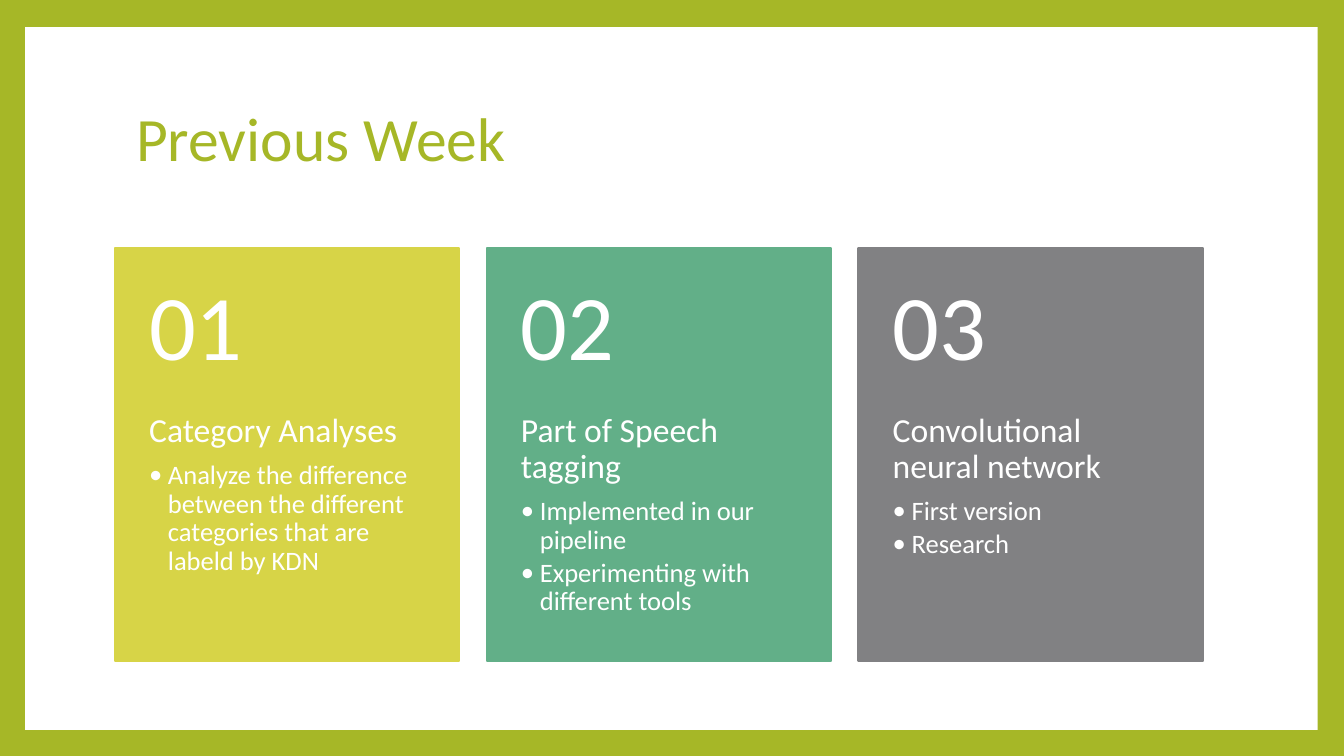
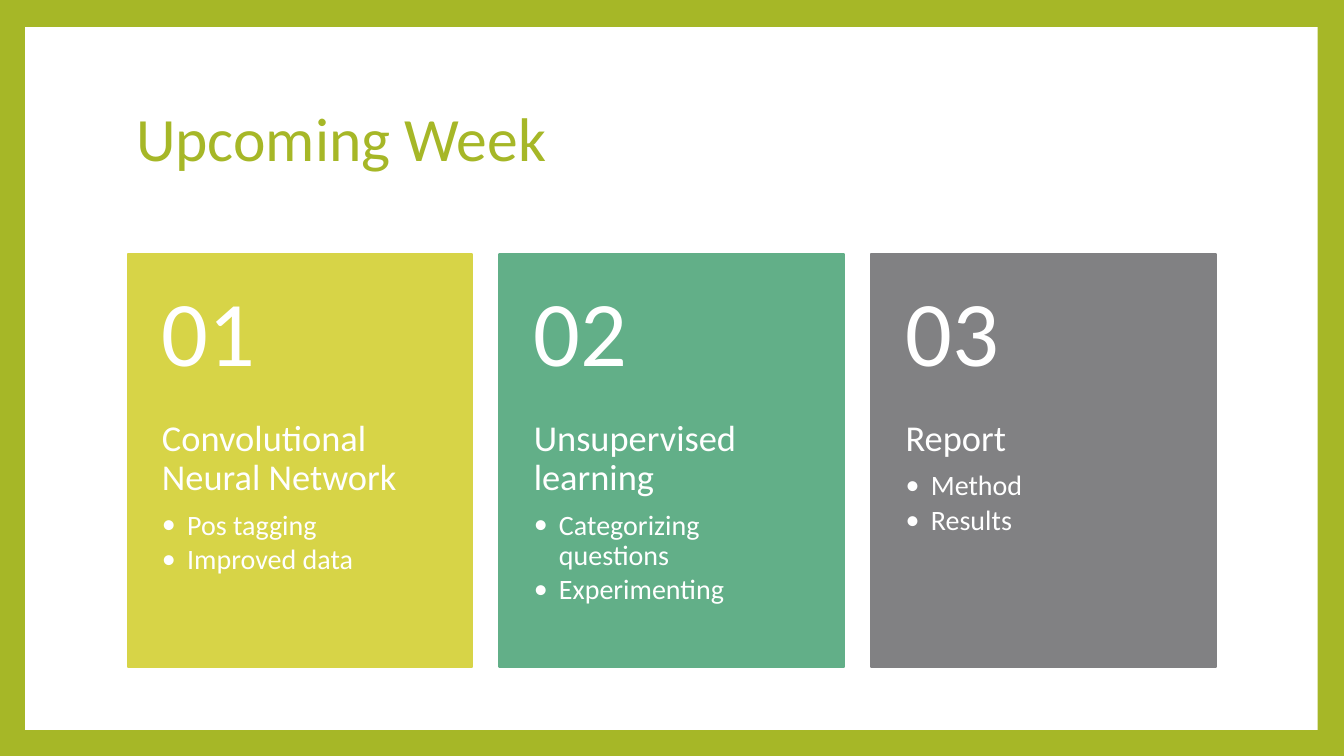
import pptx
import pptx.util
import pptx.dml.color
import pptx.enum.shapes
import pptx.enum.text
from lxml import etree

Pt = pptx.util.Pt
ALIGN_LEFT = pptx.enum.text.PP_ALIGN.LEFT
TOP = pptx.enum.text.MSO_ANCHOR.TOP
MIDDLE = pptx.enum.text.MSO_ANCHOR.MIDDLE
NO_FIT = pptx.enum.text.MSO_AUTO_SIZE.NONE
RECTANGLE = pptx.enum.shapes.MSO_SHAPE.RECTANGLE

# Shared look
FONT = "Calibri"
GREEN, WHITE = "A6B727", "FFFFFF"
CARD_COLORS = ["D7D447", "62AF88", "818183"]
PANEL = (18, 19.4, 923.2, 502)
TITLE = (90, 47.8, 777.6, 106.6)
CARD_WIDTH, CARD_HEIGHT, CARD_GAP = 246.2, 295.2, 19.4
NUMBER_HEIGHT = 118.2
CARD_INSET = 24.5

# Content of each slide
SLIDES = [
    {
        "title": "Previous Week", "left": 82, "top": 177.2,
        "heading_size": 24, "bullet_size": 19, "indent": 13.5,
        "cards": [
            ("Category Analyses",
             ["Analyze the difference between the different categories "
              "that are labeld by KDN"]),
            ("Part of Speech tagging",
             ["Implemented in our pipeline",
              "Experimenting with different tools"]),
            ("Convolutional neural network", ["First version", "Research"]),
        ],
    },
    {
        "title": "Upcoming Week", "left": 91.2, "top": 181.6,
        "heading_size": 26, "bullet_size": 20, "indent": 18,
        "cards": [
            ("Convolutional Neural Network", ["Pos tagging", "Improved data"]),
            ("Unsupervised learning",
             ["Categorizing questions", "Experimenting"]),
            ("Report", ["Method", "Results"]),
        ],
    },
]


def rgb(color):
    return pptx.dml.color.RGBColor.from_string(color)


def set_all(target, values):
    for name, value in values.items():
        setattr(target, name, value)


def place(shape, left, top, width, height):
    set_all(shape, {"left": Pt(left), "top": Pt(top),
                    "width": Pt(width), "height": Pt(height)})


def set_frame(box, anchor, **margins):
    set_all(box.text_frame, {"word_wrap": True, "auto_size": NO_FIT,
                             "vertical_anchor": anchor})
    set_all(box.text_frame, {f"margin_{side}": Pt(size)
                             for side, size in margins.items()})


def write(para, text, size, color, after=0):
    """Fill one paragraph; after is a share of the text size."""
    set_all(para, {"alignment": ALIGN_LEFT, "line_spacing": 0.9,
                   "space_before": Pt(0),
                   "space_after": Pt(round(after * size, 2))})
    span = para.add_run()
    span.text = text
    set_all(span.font, {"name": FONT, "size": Pt(size)})
    span.font.color.rgb = rgb(color)


def add_bullet(para, indent):
    properties = para._p.get_or_add_pPr()
    properties.set("marL", str(Pt(indent)))
    properties.set("indent", str(-Pt(indent)))
    for tag, name, value in (("a:buFont", "typeface", FONT),
                             ("a:buChar", "char", "•")):
        part = etree.SubElement(properties, pptx.oxml.ns.qn(tag))
        part.set(name, value)


def add_rectangle(shapes, bounds, color, line_width=0):
    shape = shapes.add_shape(RECTANGLE, *map(Pt, bounds))
    shape.shadow.inherit = False
    shape.fill.solid()
    shape.fill.fore_color.rgb = rgb(color)
    if line_width:
        shape.line.color.rgb = rgb(color)
        shape.line.width = Pt(line_width)
    else:
        shape.line.fill.background()
    return shape


def add_card(page, content, index):
    group = page.shapes.add_group_shape()
    left = content["left"] + index * (CARD_WIDTH + CARD_GAP)
    top = content["top"]
    heading, bullets = content["cards"][index]
    add_rectangle(group.shapes, (left, top, CARD_WIDTH, CARD_HEIGHT),
                  CARD_COLORS[index], 1.5)

    # Heading and bullets
    box = group.shapes.add_textbox(
        *map(Pt, (left, top + NUMBER_HEIGHT, CARD_WIDTH,
                  CARD_HEIGHT - NUMBER_HEIGHT)))
    set_frame(box, TOP, left=CARD_INSET, top=0, right=CARD_INSET, bottom=26)
    write(box.text_frame.paragraphs[0], heading, content["heading_size"],
          WHITE, 0.35)
    for text in bullets:
        para = box.text_frame.add_paragraph()
        write(para, text, content["bullet_size"], WHITE, 0.15)
        add_bullet(para, content["indent"])

    # Number
    box = group.shapes.add_textbox(
        *map(Pt, (left, top, CARD_WIDTH, NUMBER_HEIGHT)))
    set_frame(box, MIDDLE, left=CARD_INSET, top=13, right=CARD_INSET,
              bottom=13)
    write(box.text_frame.paragraphs[0], f"{index + 1:02}", 66, WHITE, 0.35)


def prepare_layout(layout, page):
    """Give the layout its green border, white panel and title place."""
    layout.background.fill.solid()
    layout.background.fill.fore_color.rgb = rgb(GREEN)
    panel = add_rectangle(page.shapes, PANEL, WHITE)
    layout.shapes.element.insert(2, panel.element)
    place(layout.placeholders[0], *TITLE)


def add_title(page, text):
    title = page.shapes.title
    set_frame(title, MIDDLE)
    write(title.text_frame.paragraphs[0], text, 44, GREEN)


def main():
    deck = pptx.Presentation()
    set_all(deck, {"slide_width": Pt(960), "slide_height": Pt(540)})
    layout = deck.slide_layouts.get_by_name("Title Only")
    pages = [deck.slides.add_slide(layout) for _ in SLIDES]
    prepare_layout(layout, pages[0])
    for page, content in zip(pages, SLIDES):
        add_title(page, content["title"])
        for index in range(len(content["cards"])):
            add_card(page, content, index)
    deck.save("out.pptx")


if __name__ == "__main__":
    main()
